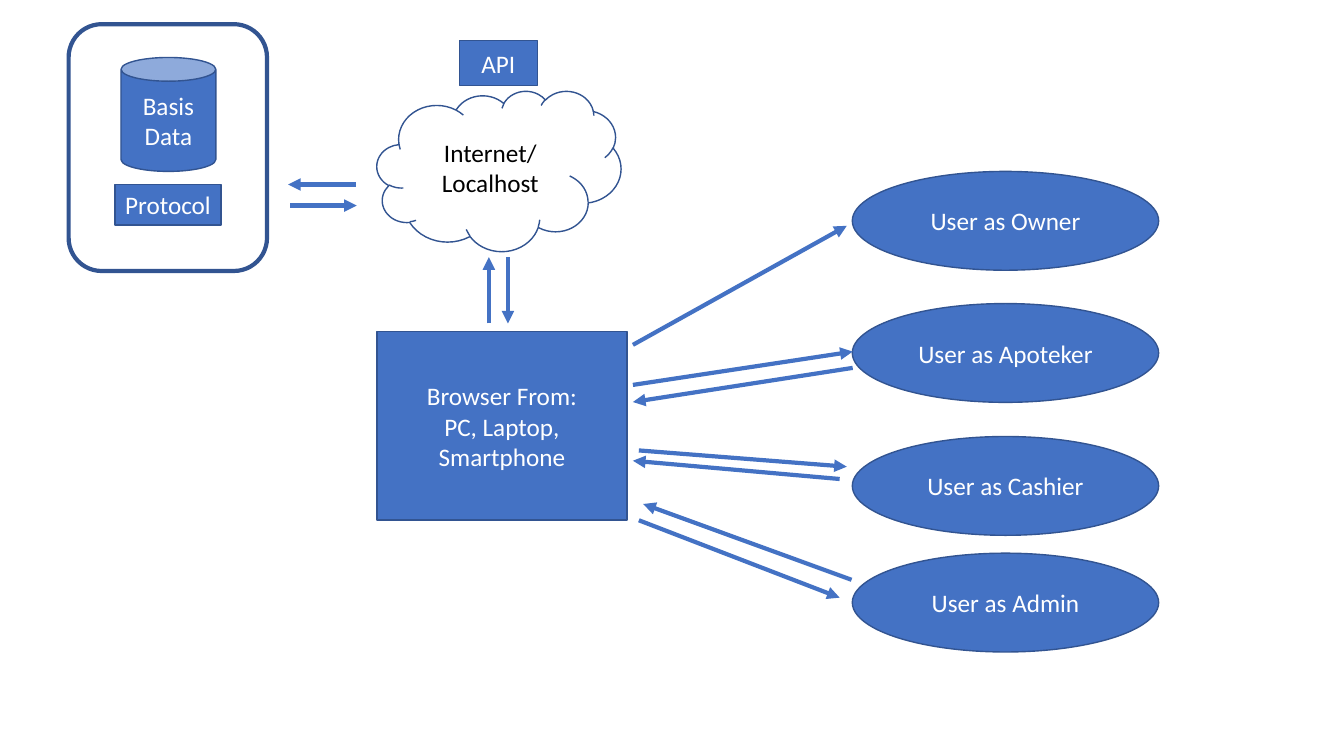
from pptx import Presentation
from pptx.util import Cm, Pt
from pptx.dml.color import RGBColor
from pptx.enum.shapes import MSO_SHAPE as Kind, MSO_CONNECTOR
from pptx.enum.text import PP_ALIGN, MSO_ANCHOR
from pptx.oxml.ns import qn
from lxml.etree import SubElement

BLUE, NAVY, WHITE, BLACK = "4472C4", "325491", "FFFFFF", "000000"

cloud = (Kind.CLOUD, (9.5, 2.29, 6.15, 4.04), ["Internet/", "Localhost"])
server = [
    (Kind.CAN, (3.05, 1.45, 2.39, 2.87), ["Basis Data"]),
    (Kind.RECTANGLE, (2.9, 4.65, 2.67, 1.02), ["Protocol"]),
]
frame = (Kind.ROUNDED_RECTANGLE, (1.73, 0.61, 5, 6.22), [])
boxes = [
    (Kind.RECTANGLE, (9.5, 8.36, 6.3, 4.75),
     ["Browser From:", "PC, Laptop, Smartphone"]),
    (Kind.RECTANGLE, (11.58, 1.02, 1.96, 1.14), ["API"]),
]
users = [("Owner", 4.32), ("Apoteker", 7.65), ("Cashier", 11), ("Admin", 13.94)]
arrows = [
    (15.95, 8.69, 21.34, 5.69),
    (15.95, 9.7, 21.49, 8.86),
    (21.49, 9.27, 15.95, 10.13),
    (16.1, 11.35, 21.34, 11.76),
    (21.16, 12.07, 15.95, 11.61),
    (16.1, 13.11, 21.16, 15.06),
    (21.46, 14.61, 16.21, 12.7),
    (12.8, 6.48, 12.8, 8.15),
    (12.32, 8.15, 12.32, 6.48),
    (8.97, 4.65, 7.26, 4.65),
    (7.32, 5.18, 8.99, 5.18),
]


def color(code):
    return RGBColor.from_string(code)


def add_box(home, kind, place, lines, fill=BLUE, ink=WHITE, width=1):
    shape = home.add_shape(kind, *map(Cm, place))
    shape.shadow.inherit = False
    if fill:
        shape.fill.solid()
        shape.fill.fore_color.rgb = color(fill)
    else:
        shape.fill.background()
    shape.line.color.rgb = color(NAVY)
    shape.line.width = Pt(width)
    frame = shape.text_frame
    frame.word_wrap = True
    frame.vertical_anchor = MSO_ANCHOR.MIDDLE
    frame.margin_left = frame.margin_right = Cm(0.2)
    for spot, line in enumerate(lines):
        para = frame.add_paragraph() if spot else frame.paragraphs[0]
        para.alignment = PP_ALIGN.CENTER
        run = para.add_run()
        run.text = line
        run.font.name = "Calibri"
        run.font.size = Pt(18)
        run.font.color.rgb = color(ink)


def add_arrow(home, ends):
    arrow = home.add_connector(MSO_CONNECTOR.STRAIGHT, *map(Cm, ends))
    arrow.line.color.rgb = color(BLUE)
    arrow.line.width = Pt(3)
    SubElement(arrow.line._get_or_add_ln(), qn("a:tailEnd"), type="triangle")
    SubElement(arrow._element.spPr, qn("a:effectLst"))


deck = Presentation()
deck.slide_width, deck.slide_height = Cm(33.87), Cm(19.05)
shapes = deck.slides.add_slide(deck.slide_layouts[6]).shapes

add_box(shapes, *cloud, fill=None, ink=BLACK)
group = shapes.add_group_shape().shapes
for part in server:
    add_box(group, *part)
add_box(group, *frame, fill=None, width=3)
for box in boxes:
    add_box(shapes, *box)
for name, top in users:
    add_box(shapes, Kind.OVAL, (21.48, top, 7.72, 2.49), ["User as " + name])
for ends in arrows:
    add_arrow(shapes, ends)

deck.save("out.pptx")
